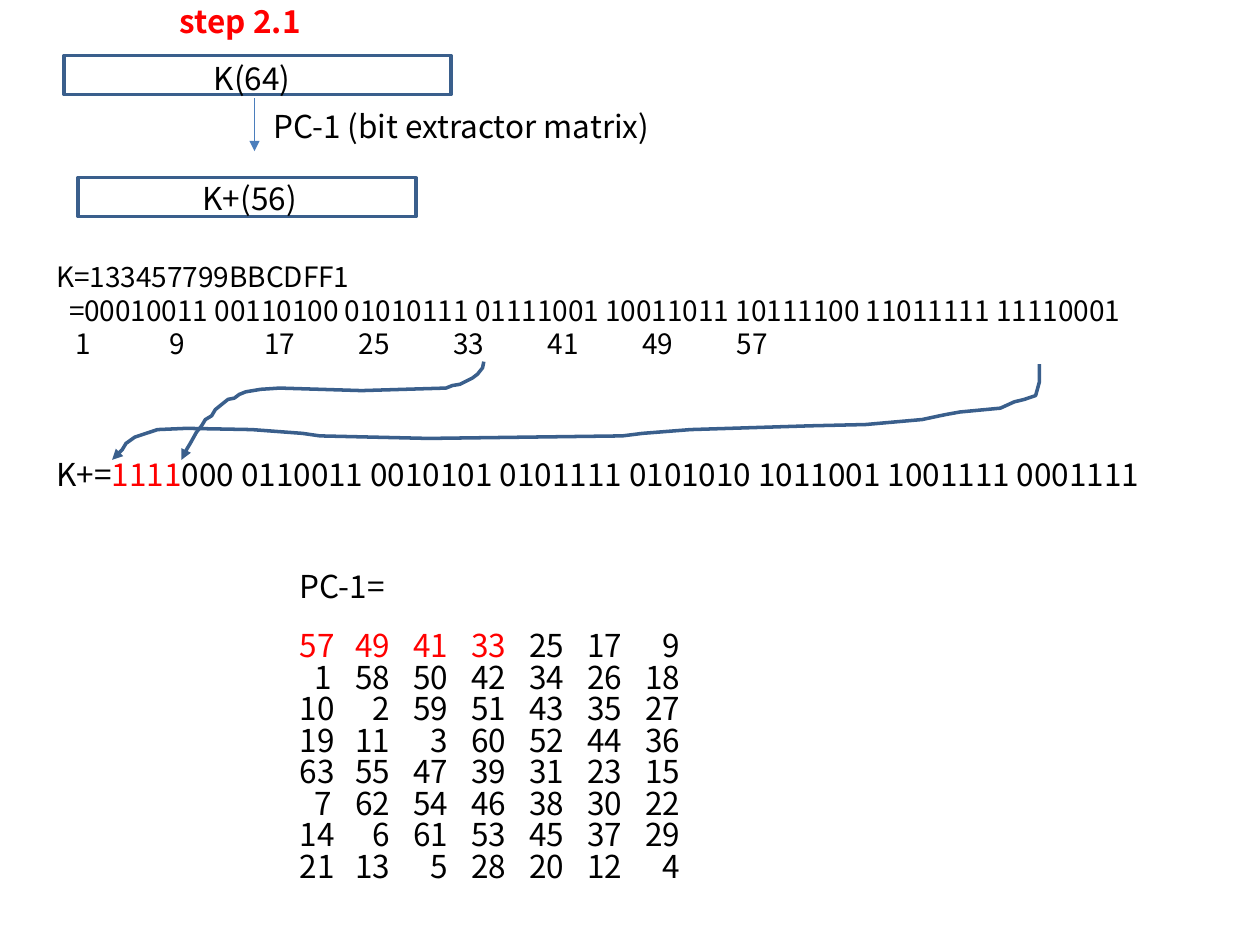
from lxml import etree
from pptx import Presentation
from pptx import util as u
from pptx.dml.color import RGBColor
from pptx.enum import shapes, text
from pptx.oxml import ns

COLORS = {"ink": "000000", "accent": "FF0000", "outline": "3A5F8C", "arrow": "4B7EBC"}
JUSTIFY = text.PP_ALIGN.JUSTIFY


class Sheet:
    font = "Noto Sans CJK KR"

    def __init__(self, slide):
        self.slide = slide

    def color(self, name):
        return RGBColor.from_string(COLORS[name])

    def stroke(self, shape, color, width, arrow=None):
        shape.line.color.rgb = self.color(color)
        shape.line.width = u.Pt(width)
        if arrow:
            line = shape._element.spPr.find(ns.qn("a:ln"))
            etree.SubElement(line, ns.qn(f"a:{arrow}"), type="triangle")

    def frame(self, left, top, width, height):
        shape = self.slide.shapes.add_shape(
            shapes.MSO_SHAPE.RECTANGLE, *map(u.Inches, (left, top, width, height)))
        shape.shadow.inherit = False
        shape.fill.background()
        self.stroke(shape, "outline", 2)

    def arrow(self, start, end):
        line = self.slide.shapes.add_connector(
            shapes.MSO_CONNECTOR.STRAIGHT, *map(u.Inches, start + end))
        self.stroke(line, "arrow", 0.75, "tailEnd")
        etree.SubElement(line._element.spPr, ns.qn("a:effectLst"))

    def trace(self, points):
        points = [(u.Inches(x), u.Inches(y)) for x, y in points]
        builder = self.slide.shapes.build_freeform(*points[0])
        builder.add_line_segments(points[1:], close=False)
        shape = builder.convert_to_shape()
        shape.shadow.inherit = False
        shape.fill.background()
        self.stroke(shape, "outline", 2, "headEnd")

    def text_box(self, left, top, width, height):
        box = self.slide.shapes.add_textbox(*map(u.Inches, (left, top, width, height)))
        box.text_frame.word_wrap = True
        box.text_frame.auto_size = text.MSO_AUTO_SIZE.SHAPE_TO_FIT_TEXT
        return box.text_frame

    def paragraph(self, frame, *spans, size=18, bold=None, align=None, indent=0,
                  tabs=(), tab_align="l", tight=False, after=None):
        para = frame.paragraphs[0]
        if para.runs:
            para = frame.add_paragraph()
        para.font.name, para.font.size, para.font.bold = self.font, u.Pt(size), bold
        para.alignment = align
        if tight:
            para.line_spacing, after = u.Pt(8), 10
        if after:
            para.space_after = u.Pt(after)
        properties = para._p.get_or_add_pPr()
        if indent:
            properties.set("marL", str(u.Inches(indent)))
        if tabs:
            stops = etree.Element(ns.qn("a:tabLst"))
            for position in tabs:
                etree.SubElement(stops, ns.qn("a:tab"),
                                 pos=str(u.Inches(position)), algn=tab_align)
            properties.find(ns.qn("a:defRPr")).addprevious(stops)
        for words, color in spans:
            span = para.add_run()
            span.text = words
            span.font.color.rgb = self.color(color)

    def label(self, left, top, width, words, color="ink", bold=None):
        self.paragraph(self.text_box(left, top, width, 0.4), (words, color), bold=bold)


deck = Presentation()
deck.slide_width, deck.slide_height = u.Inches(10), u.Inches(7.5)
page = Sheet(deck.slides.add_slide(deck.slide_layouts[6]))

page.frame(0.51, 0.44, 3.07, 0.31)
page.frame(0.62, 1.41, 2.68, 0.31)
page.arrow((2.02, 0.78), (2.02, 1.2))
page.label(1.6, 0.42, 0.84, "K(64)")
page.label(1.51, 1.37, 1.11, "K+(56)")
page.label(2.07, 0.8, 3.4, "PC-1 (bit extractor matrix)")
page.label(1.33, -0.03, 2.51, "step 2.1", "accent", True)

key = "133457799BBCDFF1"
key_bits = " ".join(f"{int(key[i:i + 2], 16):08b}" for i in range(0, len(key), 2))
key_box = page.text_box(0.35, 2.01, 9.53, 0.91)
page.paragraph(key_box, (f"K={key}", "ink"), size=16, align=JUSTIFY)
page.paragraph(key_box, (f"={key_bits}", "ink"), size=16, align=JUSTIFY, indent=0.1)
page.paragraph(key_box, ("".join(f"\t{bit}" for bit in range(1, 65, 8)), "ink"), size=16,
               align=JUSTIFY, tabs=[0.15 + 0.75 * i for i in range(8)])

matrix = [
    (57, 49, 41, 33, 25, 17, 9),
    (1, 58, 50, 42, 34, 26, 18),
    (10, 2, 59, 51, 43, 35, 27),
    (19, 11, 3, 60, 52, 44, 36),
    (63, 55, 47, 39, 31, 23, 15),
    (7, 62, 54, 46, 38, 30, 22),
    (14, 6, 61, 53, 45, 37, 29),
    (21, 13, 5, 28, 20, 12, 4),
]
matrix_box = page.text_box(2.28, 4.45, 7.21, 2.61)
page.paragraph(matrix_box, ("PC-1=", "ink"), align=JUSTIFY, after=26)
columns = [0.26 + 0.46 * i for i in range(7)]
for index, row in enumerate(matrix):
    cells = [f"\t{bit}" for bit in row]
    marked = 0 if index else 4
    spans = [("".join(cells[:marked]), "accent"), ("".join(cells[marked:]), "ink")]
    page.paragraph(matrix_box, *[span for span in spans if span[0]],
                   tabs=columns, tab_align="r", tight=True)

page.paragraph(page.text_box(0.35, 3.75, 9.13, 0.24), ("K+=", "ink"), ("1111", "accent"),
               ("000 0110011 0010101 0101111 0101010 1011001 1001111 0001111", "ink"),
               tight=True)

page.trace([(0.89, 3.65), (0.97, 3.57), (1, 3.52), (1.07, 3.47), (1.16, 3.44), (1.25, 3.41),
            (1.48, 3.4), (2, 3.41), (2.4, 3.44), (2.54, 3.46), (3.4, 3.48), (4.94, 3.46),
            (5.1, 3.44), (5.48, 3.41), (6.43, 3.38), (6.87, 3.37), (7.32, 3.33), (7.46, 3.3),
            (7.51, 3.29), (7.62, 3.27), (7.94, 3.24), (8.05, 3.19), (8.13, 3.17),
            (8.22, 3.14), (8.25, 3.03), (8.25, 2.89)])
page.trace([(1.44, 3.65), (1.48, 3.57), (1.51, 3.52), (1.56, 3.43), (1.6, 3.38), (1.63, 3.33),
            (1.68, 3.3), (1.71, 3.25), (1.81, 3.17), (1.86, 3.16), (1.9, 3.13), (1.95, 3.11),
            (2.07, 3.09), (2.22, 3.08), (2.87, 3.1), (3.54, 3.08), (3.59, 3.06),
            (3.65, 3.05), (3.75, 3), (3.79, 2.97), (3.83, 2.92), (3.84, 2.87)])

deck.save("out.pptx")
